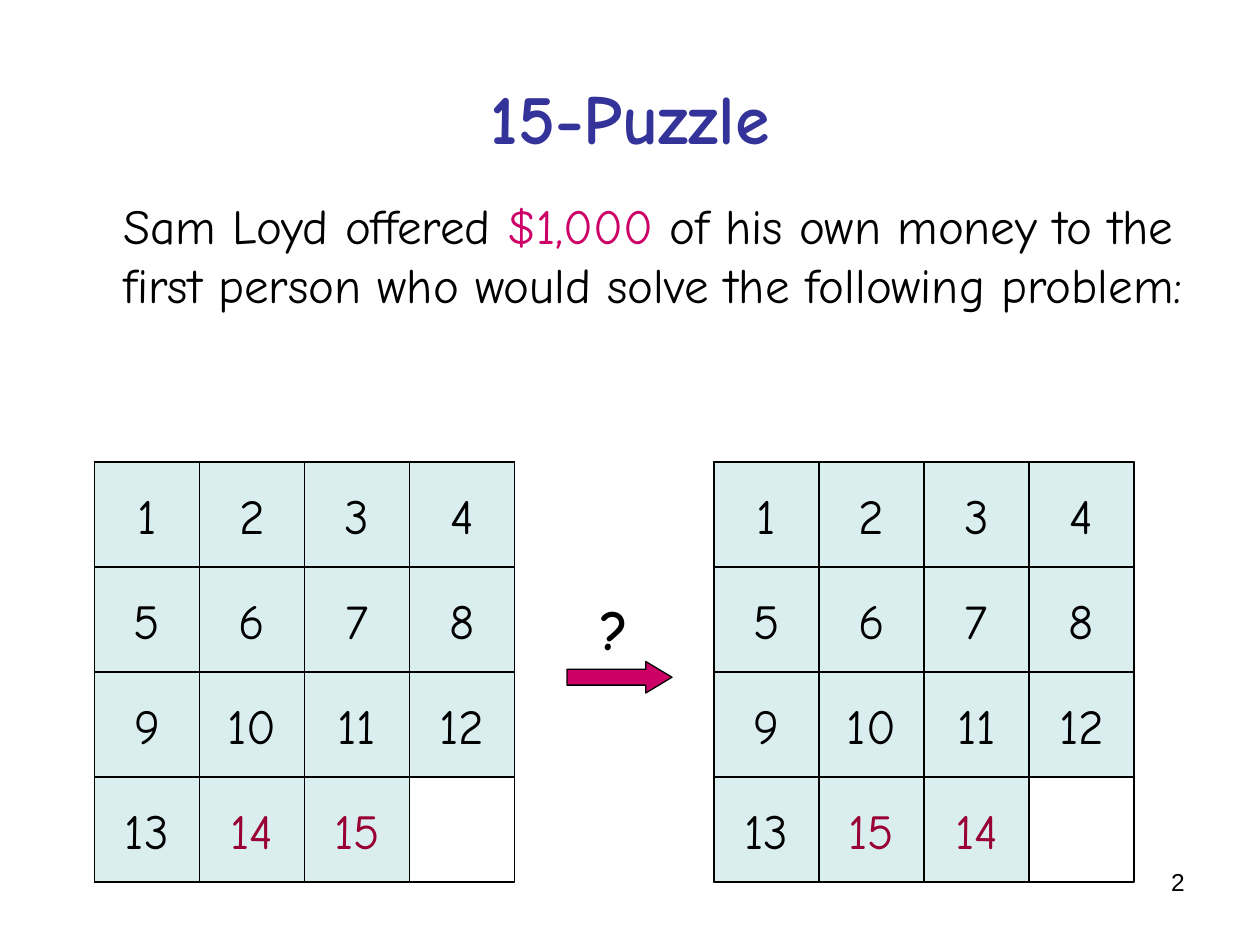
"""Build the 15-Puzzle slide: two boards with an arrow between them."""
import pptx
import pptx.util
import pptx.dml.color
import pptx.enum.shapes
import pptx.enum.text

Pt = pptx.util.Pt
RGB = pptx.dml.color.RGBColor
KIND = pptx.enum.shapes.MSO_SHAPE
ALIGN = pptx.enum.text.PP_ALIGN
ANCHOR = pptx.enum.text.MSO_ANCHOR

BLACK = RGB(0x00, 0x00, 0x00)
NAVY = RGB(0x33, 0x33, 0x99)
PINK = RGB(0xCC, 0x00, 0x66)
WINE = RGB(0x99, 0x00, 0x33)
PALE = RGB(0xDA, 0xEE, 0xF0)
FACE = "Comic Neue"

TITLE = "15-Puzzle"
BODY = [
    ("Sam Loyd offered ", BLACK),
    ("$1,000", PINK),
    (" of his own money to the first person who would solve the following problem:", BLACK),
]
START = [*range(1, 14), 14, 15]
GOAL = [*range(1, 14), 15, 14]
BOARDS = [(6.8, GOAL), (0.9, START)]
SWAPPED = (14, 15)
SIDE = 4
TOP = 4.4

deck = pptx.Presentation()
deck.slide_width = pptx.util.Inches(10)
deck.slide_height = pptx.util.Inches(7.5)
UNIT = deck.slide_width / 12


def cells(*sizes):
    return [round(size * UNIT) for size in sizes]


def place(shape, *box):
    shape.left, shape.top, shape.width, shape.height = cells(*box)


def style(par, size, color, face=FACE, bold=False, align=None):
    font = par.font
    font.name, font.size, font.bold = face, Pt(size), bold
    font.color.rgb = color
    par.alignment = align


def draw(shapes, kind, box, fill=None):
    shape = shapes.add_shape(kind, *cells(*box))
    shape.shadow.inherit = False
    if fill is None:
        shape.fill.background()
    else:
        shape.fill.solid()
        shape.fill.fore_color.rgb = fill
    shape.line.color.rgb = BLACK
    shape.line.width = Pt(0.75)
    return shape


def board(shapes, left, tiles):
    group = shapes.add_group_shape().shapes
    draw(group, KIND.RECTANGLE, (left, TOP, SIDE, SIDE))
    for spot, tile in enumerate(tiles):
        row, col = divmod(spot, SIDE)
        square = draw(group, KIND.RECTANGLE, (left + col, TOP + row, 1, 1), PALE)
        frame = square.text_frame
        frame.word_wrap = False
        frame.vertical_anchor = ANCHOR.MIDDLE
        frame.text = str(tile)
        color = WINE if tile in SWAPPED else BLACK
        style(frame.paragraphs[0], 28, color, align=ALIGN.CENTER)


def label(shapes, text, box, wrap, **look):
    frame = shapes.add_textbox(*cells(*box)).text_frame
    frame.word_wrap = wrap
    frame.text = text
    style(frame.paragraphs[0], color=BLACK, **look)


def main():
    slide = deck.slides.add_slide(deck.slide_layouts[1])
    shapes = slide.shapes
    title, body = slide.placeholders

    place(title, 0.6, 0.36, 10.8, 1.5)
    title.text_frame.text = TITLE
    title.text_frame.vertical_anchor = ANCHOR.MIDDLE
    style(title.text_frame.paragraphs[0], 40, NAVY, bold=True, align=ALIGN.CENTER)

    place(body, 0.6, 1.8, 11.1, 5.94)
    body.text_frame.auto_size = pptx.enum.text.MSO_AUTO_SIZE.NONE
    par = body.text_frame.paragraphs[0]
    style(par, 28, BLACK)
    for text, color in BODY:
        run = par.add_run()
        run.text = text
        run.font.color.rgb = color
    props = par._p.get_or_add_pPr()
    props.set("marL", str(pptx.util.Inches(0.38)))
    props.set("indent", "0")
    bullet = pptx.oxml.parse_xml(
        '<a:buNone xmlns:a="http://schemas.openxmlformats.org/drawingml/2006/main"/>')
    props.insert_element_before(bullet, "a:tabLst", "a:defRPr", "a:extLst")

    for left, tiles in BOARDS:
        board(shapes, left, tiles)

    arrow = draw(shapes, KIND.RIGHT_ARROW, (5.4, 6.3, 1, 0.3), PINK)
    arrow.adjustments[0], arrow.adjustments[1] = 0.5, 0.83
    label(shapes, "?", (5.6, 5.6, 0.54, 0.76), False, size=32, bold=True)
    label(shapes, "2", (8.6, 8.2, 2.8, 0.62), True,
          size=14, face="Arial", align=ALIGN.RIGHT)
    deck.save("out.pptx")


if __name__ == "__main__":
    main()
